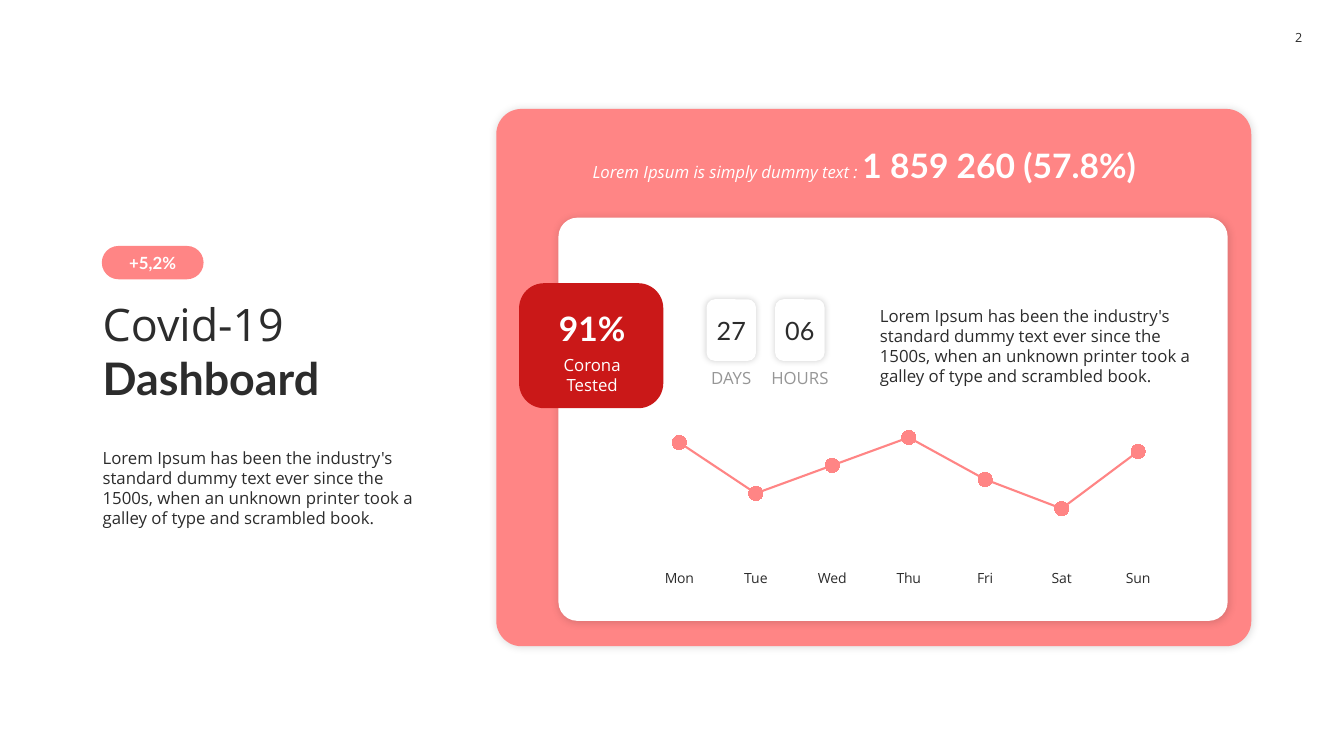
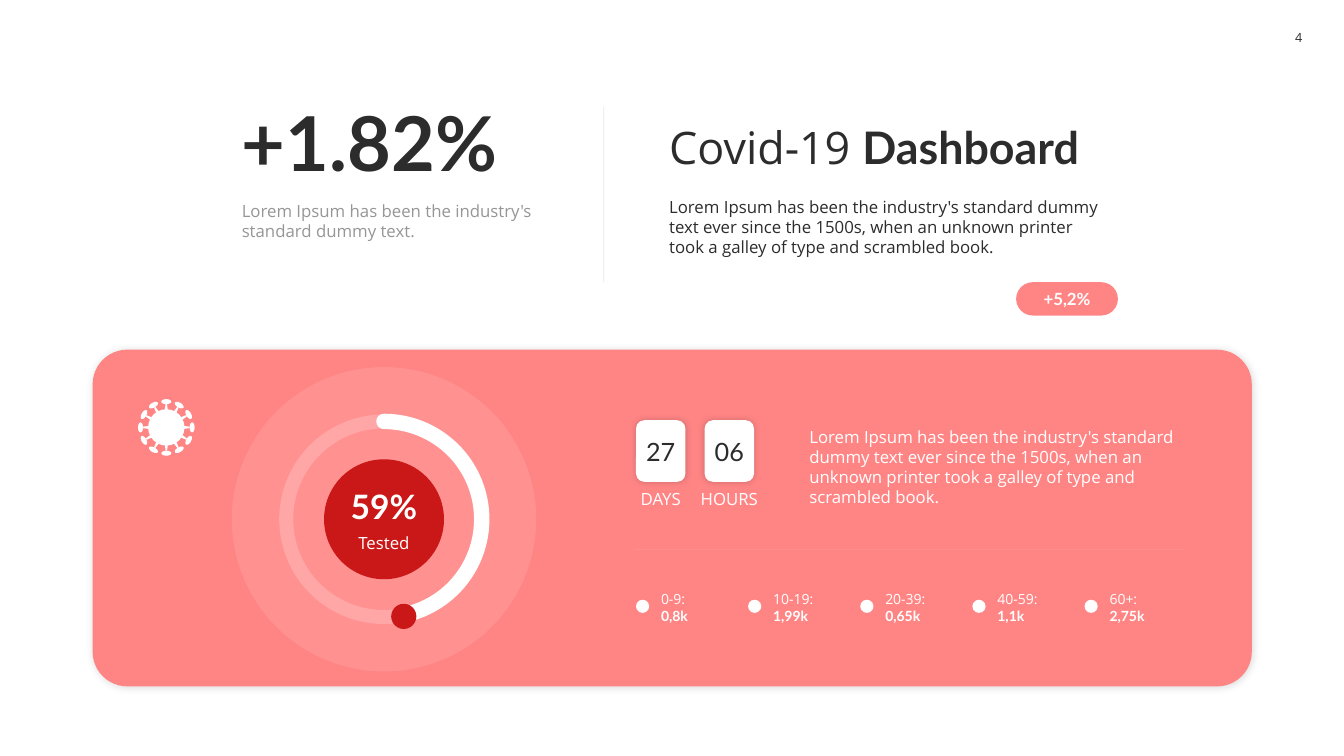
from dataclasses import dataclass

from lxml.etree import SubElement
from pptx import Presentation
from pptx.chart.data import CategoryChartData
from pptx.dml.color import RGBColor
from pptx.enum.chart import XL_CHART_TYPE, XL_MARKER_STYLE, XL_TICK_MARK
from pptx.enum.shapes import MSO_CONNECTOR, MSO_SHAPE
from pptx.enum.text import MSO_ANCHOR, PP_ALIGN
from pptx.oxml.ns import qn
from pptx.util import Pt


@dataclass(frozen=True)
class Theme:
    coral: RGBColor = RGBColor.from_string("FF8585")
    red: RGBColor = RGBColor.from_string("CA1818")
    ink: RGBColor = RGBColor.from_string("2C2C2C")
    grey: RGBColor = RGBColor.from_string("969696")
    white: RGBColor = RGBColor.from_string("FFFFFF")
    body_font: str = "Open Sans"
    bold_font: str = "Lato"
    page_size: int = 9
    small: int = 10
    body: int = 12
    counter: int = 18
    score: int = 24
    title: int = 32
    hero: int = 54
    card_shadow: tuple = (15, 6, 1)  # opacity, blur, distance
    tile_shadow: tuple = (20, 5, 0)


T = Theme()
STRONG = {"font": T.bold_font, "bold": True}
CENTER = {"align": PP_ALIGN.CENTER}
LOREM = ("Lorem Ipsum has been the industry's standard dummy text ever since the "
         "1500s, when an unknown printer took a galley of type and scrambled book.")


def draw(shapes, kind, box, fill=None, line=None, line_width=0, opacity=100,
         adjust=(), shadow=None, rotation=0):
    """Add a preset shape; box is left, top, width, height in points."""
    shape = shapes.add_shape(kind, *map(Pt, box))
    shape.rotation = rotation
    for index, value in enumerate(adjust):
        shape.adjustments[index] = value
    if fill is None:
        shape.fill.background()
    else:
        shape.fill.solid()
        shape.fill.fore_color.rgb = fill
    if line is None:
        shape.line.fill.background()
    else:
        shape.line.color.rgb = line
        shape.line.width = Pt(line_width)
    properties = shape.element.spPr
    if opacity < 100:
        for color in properties.iter(qn("a:srgbClr")):
            SubElement(color, qn("a:alpha"), val=str(opacity * 1000))
    shape.shadow.inherit = False
    if shadow:
        strength, blur, distance = shadow
        outer = SubElement(properties.find(qn("a:effectLst")), qn("a:outerShdw"),
                           blurRad=str(Pt(blur)), dist=str(Pt(distance)),
                           dir=str(45 * 60000), algn="tl", rotWithShape="0")
        color = SubElement(outer, qn("a:srgbClr"), val="000000")
        SubElement(color, qn("a:alpha"), val=str(strength * 1000))
    return shape


def write(shapes, box, *paragraphs, into=None, size=T.body, color=T.ink,
          font=T.body_font, bold=False, italic=False, align=PP_ALIGN.LEFT,
          anchor=MSO_ANCHOR.TOP, inset=7.2):
    """Write paragraphs, each a list of (text, overrides), in a box or a shape."""
    frame = (into or shapes.add_textbox(*map(Pt, box))).text_frame
    frame.word_wrap = True
    frame.vertical_anchor = anchor
    frame.margin_left = frame.margin_right = Pt(inset)
    frame.margin_top = frame.margin_bottom = Pt(min(inset, 3.6))
    for index, runs in enumerate(paragraphs):
        paragraph = frame.add_paragraph() if index else frame.paragraphs[0]
        paragraph.alignment = align
        for text, overrides in ([(runs, {})] if isinstance(runs, str) else runs):
            style = {"size": size, "font": font, "bold": bold, "italic": italic} | overrides
            run = paragraph.add_run()
            run.text = text
            run.font.size = Pt(style["size"])
            run.font.name = style["font"]
            run.font.bold = style["bold"]
            run.font.italic = style["italic"]
            run.font.color.rgb = color


deck = Presentation()
deck.slide_width, deck.slide_height = Pt(960), Pt(540)
trend, tested = (deck.slides.add_slide(deck.slide_layouts[6]).shapes for _ in range(2))

# Shared frame: card, page number, pill, title and introduction
frames = [
    (trend, "2", (354.5, 77.8, 539.3, 383.8), 0.047, (72.7, 175.7),
     (66.2, 207.4, 242, 85), (66.2, 316, 242, 65.5)),
    (tested, "4", (66.2, 249.8, 828, 240.5), 0.103, (725.8, 201.6),
     (470.9, 81.4, 327.6, 46), (470.9, 136.8, 327.6, 51)),
]
for page, number, card, radius, pill_corner, title_box, intro_box in frames:
    draw(page, MSO_SHAPE.ROUNDED_RECTANGLE, card, T.coral, adjust=[radius],
         shadow=T.card_shadow)
    number_tile = draw(page, MSO_SHAPE.ROUNDED_RECTANGLE, (913.7, 13, 28, 28), T.white)
    write(page, None, number, into=number_tile, size=T.page_size, inset=0,
          anchor=MSO_ANCHOR.MIDDLE, **CENTER)
    pill = draw(page, MSO_SHAPE.ROUNDED_RECTANGLE, (*pill_corner, 72.7, 23.8),
                T.coral, adjust=[0.5])
    write(page, None, "+5,2%", into=pill, color=T.white, inset=0,
          anchor=MSO_ANCHOR.MIDDLE, **STRONG, **CENTER)
    write(page, title_box, [("Covid-19 ", {}), ("Dashboard", STRONG)],
          size=T.title, anchor=MSO_ANCHOR.BOTTOM)
    write(page, intro_box, LOREM)

# Trend slide: headline, inner card and red badge
write(trend, (416.2, 100, 432, 36),
      [("Lorem Ipsum is simply dummy text : ", {"italic": True}),
       ("1 859 260 (57.8%)", {"size": T.score, **STRONG})], color=T.white)
draw(trend, MSO_SHAPE.ROUNDED_RECTANGLE, (398.9, 155.5, 478, 288), T.white,
     adjust=[0.047], shadow=T.card_shadow)
draw(trend, MSO_SHAPE.ROUNDED_RECTANGLE, (370.8, 202.3, 103, 89.3), T.red, adjust=[0.2])

# Trend slide: weekday chart
week = CategoryChartData()
week.categories = ["Mon", "Tue", "Wed", "Thu", "Fri", "Sat", "Sun"]
week.add_series("Series 1", [96, 56, 78, 100, 67, 44, 89])
chart = trend.add_chart(XL_CHART_TYPE.LINE_MARKERS_STACKED,
                        *map(Pt, (450, 301, 398.2, 121)), week).chart
chart.has_legend = chart.has_title = False
chart.font.size = Pt(T.body)
chart.font.name = T.body_font
chart.font.color.rgb = T.ink
days = chart.category_axis
days.major_tick_mark = XL_TICK_MARK.NONE
days.format.line.fill.background()
days.tick_labels.font.size = Pt(T.small)
days.tick_labels.font.name = T.body_font
days.tick_labels.font.color.rgb = T.ink
levels = chart.value_axis
levels.visible = levels.has_major_gridlines = False
levels.minimum_scale, levels.maximum_scale = 0, 110
chart.plots[0].vary_by_categories = False
curve = chart.plots[0].series[0]
curve.smooth = False
curve.format.line.color.rgb = T.coral
curve.format.line.width = Pt(1.5)
curve.marker.style = XL_MARKER_STYLE.CIRCLE
curve.marker.size = 10
curve.marker.format.fill.solid()
curve.marker.format.fill.fore_color.rgb = T.coral
curve.marker.format.line.fill.background()

# Tested slide: main figure
write(tested, (165.6, 64, 242, 72.7), "+1.82%", size=T.hero,
      anchor=MSO_ANCHOR.BOTTOM, **STRONG)
write(tested, (165.6, 139.7, 242, 36),
      "Lorem Ipsum has been the industry's standard dummy text.", color=T.grey)

# Tested slide: progress ring, all circles on one centre
ring_x, ring_y = 274.3, 370.9
for kind, diameter, look in [
    (MSO_SHAPE.OVAL, 217.4, {"fill": T.white, "opacity": 10}),
    (MSO_SHAPE.OVAL, 85.7, {"fill": T.red}),
    (MSO_SHAPE.OVAL, 139.7, {"line": T.white, "line_width": 10, "opacity": 20}),
    (MSO_SHAPE.ARC, 139.7, {"line": T.white, "line_width": 11, "adjust": [162, 44.96]}),
]:
    ring = draw(tested, kind, (ring_x - diameter / 2, ring_y - diameter / 2,
                               diameter, diameter), **look)
    if kind == MSO_SHAPE.ARC:
        ring.line._get_or_add_ln().set("cap", "rnd")
draw(tested, MSO_SHAPE.OVAL, (279.4, 431.3, 18, 18), T.red)

# Tested slide: virus icon with twelve spikes
virus = tested.add_group_shape().shapes
virus_x, virus_y = 118.8, 305.3
draw(virus, MSO_SHAPE.OVAL, (virus_x - 13, virus_y - 13, 26, 26), T.white)
for kind, reach, width, height, adjust in [
    (MSO_SHAPE.OVAL, 18.4, 7.2, 3.6, []),
    (MSO_SHAPE.TRAPEZOID, 14.4, 2.2, 4.4, [0.266]),
]:
    for step in range(12):
        turn = complex(0, -reach) * complex(3 ** 0.5 / 2, 0.5) ** step
        draw(virus, kind, (virus_x + turn.real - width / 2,
                           virus_y + turn.imag - height / 2, width, height),
             T.white, adjust=adjust, rotation=30 * step)

# Scores
for page, left, top, width, score, caption in [
    (trend, 378.7, 216, 88.6, "91%", "Corona Tested"),
    (tested, 231.4, 343.4, 85.7, "59%", "Tested"),
]:
    write(page, (left, top, width, 36), score, size=T.score, color=T.white,
          anchor=MSO_ANCHOR.BOTTOM, **STRONG, **CENTER)
    write(page, (left, top + 33.5, width, 36), caption, color=T.white, **CENTER)

# Day and hour counters
tile_width, tile_pitch = 35.3, 49
for page, left, top, label_color in [(trend, 504.7, 213.8, T.grey),
                                     (tested, 454.3, 300.2, T.white)]:
    for index, (value, unit) in enumerate([("27", "DAYS"), ("06", "HOURS")]):
        x = left + index * tile_pitch
        tile = draw(page, MSO_SHAPE.ROUNDED_RECTANGLE, (x, top, tile_width, 44),
                    T.white, shadow=T.tile_shadow)
        write(page, None, value, into=tile, size=T.counter, font=T.bold_font,
              anchor=MSO_ANCHOR.MIDDLE, inset=0, **CENTER)
        write(page, (x + (tile_width - tile_pitch) / 2, top + 46, tile_pitch, 21.6),
              unit, color=label_color, inset=2.9, **CENTER)

# Text beside the counters
write(trend, (621.4, 214.6, 242, 65.5), LOREM)
write(tested, (571, 301, 275, 65.5), LOREM, color=T.white)

# Tested slide: age groups
for index, (ages, cases) in enumerate([("0-9:", "0,8k"), ("10-19:", "1,99k"),
                                       ("20-39:", "0,65k"), ("40-59:", "1,1k"),
                                       ("60+:", "2,75k")]):
    x = 454.3 + index * 80.1
    draw(tested, MSO_SHAPE.OVAL, (x, 428.4, 9.4, 9.4), T.white)
    write(tested, (x + 10.8, 418.3, 57.6, 31.7), ages, [(cases, STRONG)],
          size=T.small, color=T.white, anchor=MSO_ANCHOR.MIDDLE)

# Tested slide: hairlines
for ends, color in [((452.9, 392.4, 846.7, 392.4), T.white),
                    ((431.3, 201.6, 431.3, 76.3), T.ink)]:
    hairline = tested.add_connector(MSO_CONNECTOR.STRAIGHT, *map(Pt, ends))
    hairline.line.color.rgb = color
    hairline.line.width = Pt(0.5)
    hairline_properties = hairline._element.spPr
    for tint in hairline_properties.iter(qn("a:srgbClr")):
        SubElement(tint, qn("a:alpha"), val="10000")
    SubElement(hairline_properties, qn("a:effectLst"))

deck.save("out.pptx")
